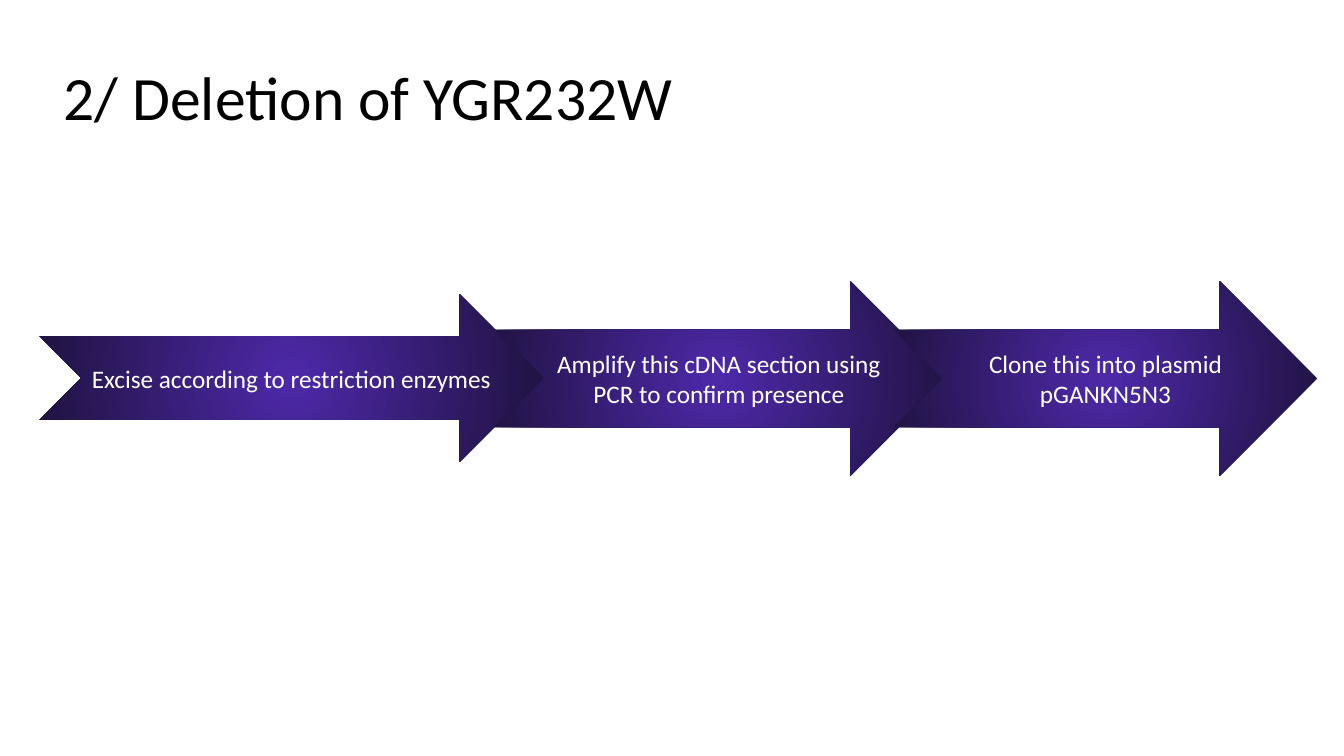
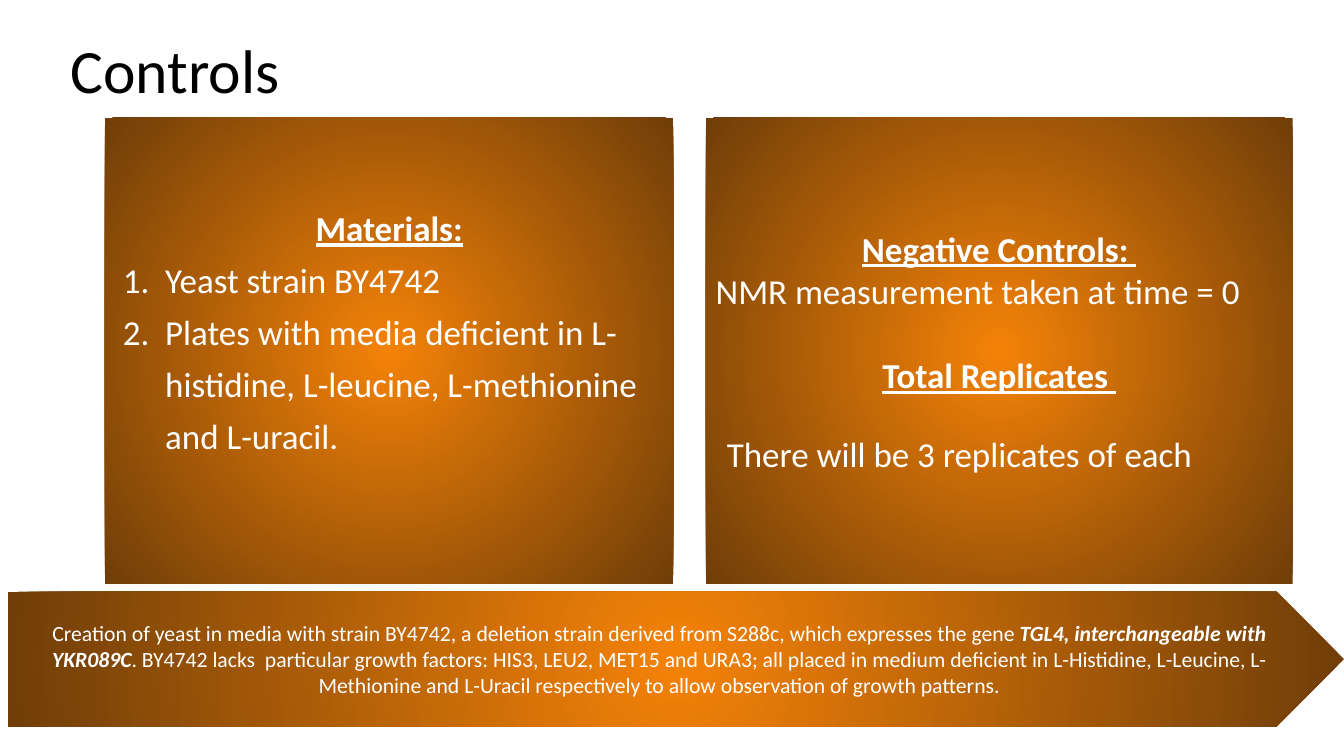
from pptx import Presentation
from pptx.dml.color import RGBColor
from pptx.enum.shapes import MSO_SHAPE
from pptx.enum.text import MSO_ANCHOR, MSO_AUTO_SIZE, PP_ALIGN
from pptx.oxml import parse_xml
from pptx.oxml.ns import nsdecls
from pptx.util import Pt

PX = 9144
FONT = "Calibri"
COLORS = {
    "ink": "000000",
    "white": "FFFFFF",
    "violet": "4E29AA",
    "night": "1E123D",
    "orange": "F48208",
    "brown": "703E08",
}
LEFT, CENTER = PP_ALIGN.LEFT, PP_ALIGN.CENTER


def write(tf, text, p=None, size=18, color="white", bold=False, italic=False,
          underline=False, align=CENTER, line=None, before=None, after=None,
          indent=0, hang=0, numbered=False):
    """Add a formatted run to paragraph p, or to a new paragraph of tf."""
    if p is None:
        p = tf.paragraphs[0] if not tf.text else tf.add_paragraph()
        pPr = p._p.get_or_add_pPr()
        if indent:
            pPr.set("marL", str(indent * PX))
            pPr.set("indent", str(-hang * PX))
        if numbered:
            for tag in ('buFont typeface="+mj-lt"', 'buAutoNum type="arabicPeriod"'):
                pPr.append(parse_xml(f"<a:{tag} {nsdecls('a')}/>"))
        p.alignment = align
        if line is not None:
            p.line_spacing = line
        if before is not None:
            p.space_before = Pt(before)
        if after is not None:
            p.space_after = Pt(after)
    r = p.add_run()
    r.text = text
    r.font.name, r.font.size = FONT, Pt(size)
    r.font.bold, r.font.italic, r.font.underline = bold, italic, underline
    r.font.color.rgb = RGBColor.from_string(COLORS[color])
    return p


class Deck:
    """Hold the presentation, its style and the current slide."""

    def __init__(self, width, height):
        """Start an empty presentation of the given size."""
        self.prs = Presentation()
        self.prs.slide_width, self.prs.slide_height = width * PX, height * PX
        self.s = None

    def slide(self, title, x, y, w, h):
        """Add a slide with its title placed and formatted."""
        self.s = self.prs.slides.add_slide(self.prs.slide_layouts[5])
        sp = self.s.shapes.title
        sp.left, sp.top, sp.width, sp.height = (n * PX for n in (x, y, w, h))
        tf = sp.text_frame
        tf.word_wrap, tf.auto_size = True, MSO_AUTO_SIZE.NONE
        tf.vertical_anchor = MSO_ANCHOR.MIDDLE
        write(tf, title, size=44, color="ink", align=LEFT, line=0.9)

    def glow(self, shape, x, y, w, h, inner, outer, bottom=5):
        """Add a borderless shape with a radial gradient and return its text frame."""
        sp = self.s.shapes.add_shape(shape, *(n * PX for n in (x, y, w, h)))
        sp.shadow.inherit = False
        sp.line.fill.background()
        stops = "".join(
            f'<a:gs pos="{pos}"><a:srgbClr val="{COLORS[name]}"/></a:gs>'
            for pos, name in ((0, inner), (100000, outer)))
        grad = parse_xml(
            f'<a:gradFill {nsdecls("a")} rotWithShape="1"><a:gsLst>{stops}</a:gsLst>'
            '<a:path path="circle"><a:fillToRect l="50000" t="50000" r="50000" b="50000"/>'
            '</a:path></a:gradFill>')
        sp._element.spPr.find("{*}prstGeom").addnext(grad)
        tf = sp.text_frame
        tf.word_wrap, tf.vertical_anchor = True, MSO_ANCHOR.MIDDLE
        tf.margin_left = tf.margin_right = 10 * PX
        tf.margin_top, tf.margin_bottom = 5 * PX, bottom * PX
        return tf

    def step(self, text, x, w, h, middle=375):
        """Add one notched process arrow centred on the middle line."""
        tf = self.glow(MSO_SHAPE.NOTCHED_RIGHT_ARROW, x, middle - h // 2, w, h,
                       "violet", "night")
        write(tf, text)

    def panel(self, x, w, bottom=5):
        """Add one large content panel and return its text frame."""
        return self.glow(MSO_SHAPE.RECTANGLE, x, 117, w, 462, "orange", "brown", bottom)

    def banner(self, x, y, w, h):
        """Add the pointed summary banner and return its text frame."""
        return self.glow(MSO_SHAPE.PENTAGON, x, y, w, h, "orange", "brown")


def deletion(deck):
    """Build the deletion process slide."""
    deck.slide("2/ Deletion of YGR232W", 53, 27, 1280, 145)
    deck.step("Amplify this cDNA section using PCR to confirm presence", 486, 454, 193)
    deck.step("Excise according to restriction enzymes", 39, 500, 166)
    deck.step("Clone this into plasmid pGANKN5N3", 887, 419, 193)


def controls(deck):
    """Build the controls slide."""
    deck.slide("Controls", 60, 0, 1150, 145)
    heading = dict(size=25, bold=True, underline=True)
    body = dict(size=25, align=LEFT)

    tf = deck.panel(104, 564, bottom=43)
    write(tf, "Materials:", **heading)
    for item in ("Yeast strain BY4742",
                 "Plates with media deficient in L-histidine, L-leucine, "
                 "L-methionine and L-uracil."):
        write(tf, item, line=1.24, indent=50, hang=42, numbered=True, **body)

    tf = deck.panel(700, 582)
    write(tf, "Negative Controls: ", **heading)
    write(tf, "NMR measurement taken at time = 0", **body)
    write(tf, "Total Replicates ", before=30.5, **heading)
    write(tf, "There will be 3 replicates of each", line=1.6, before=8, after=8,
          indent=11, **body)

    tf = deck.banner(8, 587, 1325, 134)
    p = write(tf, "Creation of yeast in media with strain BY4742, a deletion strain "
                  "derived from S288c, which expresses the gene ", size=15.5)
    write(tf, "TGL4, interchangeable with YKR089C", p, size=15.5, bold=True, italic=True)
    write(tf, ". BY4742 lacks  particular growth factors: HIS3, LEU2, MET15 and URA3; "
              "all placed in medium deficient in L-Histidine, L-Leucine, L-Methionine "
              "and L-Uracil respectively to allow observation of growth patterns.",
          p, size=15.5)


def main():
    """Build and save the slides."""
    deck = Deck(1333, 750)
    deletion(deck)
    controls(deck)
    deck.prs.save("out.pptx")


if __name__ == "__main__":
    main()
